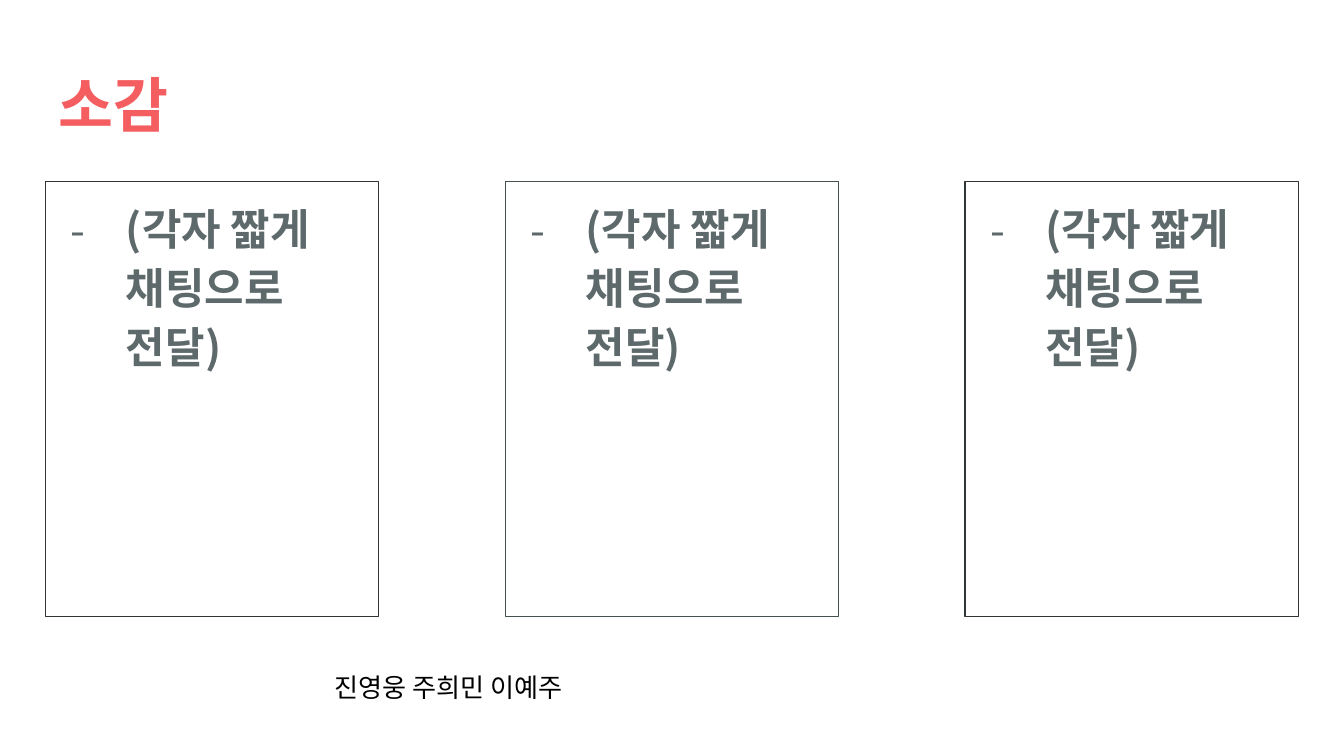
from lxml import etree
from pptx import Presentation
from pptx.dml.color import RGBColor
from pptx.enum.shapes import MSO_SHAPE
from pptx.enum.text import MSO_ANCHOR, PP_ALIGN
from pptx.oxml.ns import qn
from pptx.util import Cm, Pt

RECTANGLE = MSO_SHAPE.RECTANGLE
TOP, MIDDLE = MSO_ANCHOR.TOP, MSO_ANCHOR.MIDDLE
LEFT, CENTER = PP_ALIGN.LEFT, PP_ALIGN.CENTER


def color(value):
    return RGBColor.from_string(value)


class SlideBuilder:
    font_name = "Noto Sans CJK KR"
    accent = "F55E61"
    gray = "5E696C"
    black = "000000"
    inset = Cm(0.25)

    def __init__(self, presentation):
        self.slide = presentation.slides.add_slide(presentation.slide_layouts[5])

    def place(self, shape, left, top, width, height):
        shape.left, shape.top = Cm(left), Cm(top)
        shape.width, shape.height = Cm(width), Cm(height)

    def frame(self, shape, anchor):
        frame = shape.text_frame
        frame.word_wrap = True
        frame.vertical_anchor = anchor
        frame.margin_left = frame.margin_right = self.inset
        frame.margin_top = frame.margin_bottom = self.inset
        return frame

    def set_text(self, paragraph, text, size, text_color, bold=False, align=LEFT):
        paragraph.text = text
        paragraph.alignment = align
        font = paragraph.font
        font.name, font.size, font.bold = self.font_name, Pt(size), bold
        font.color.rgb = color(text_color)
        properties = paragraph._p.get_or_add_pPr().get_or_add_defRPr()
        etree.SubElement(properties, qn("a:ea"), typeface=self.font_name)

    def dash(self, paragraph):
        properties = paragraph._p.get_or_add_pPr()
        properties.set("marL", str(Cm(1.27)))
        properties.set("indent", str(Cm(-1.04)))
        bullet_color = etree.SubElement(properties, qn("a:buClr"))
        etree.SubElement(bullet_color, qn("a:srgbClr"), val=self.gray)
        etree.SubElement(properties, qn("a:buFont"), typeface=self.font_name)
        etree.SubElement(properties, qn("a:buChar"), char="-")

    def title(self, text, left, top, width, height):
        shape = self.slide.shapes.title
        self.place(shape, left, top, width, height)
        frame = self.frame(shape, MIDDLE)
        self.set_text(frame.paragraphs[0], text, 32, self.accent, bold=True)

    def card(self, text, left, top, width, height, line_color):
        shape = self.slide.shapes.add_shape(
            RECTANGLE, Cm(left), Cm(top), Cm(width), Cm(height))
        shape.shadow.inherit = False
        shape.fill.background()
        shape.line.color.rgb = color(line_color)
        shape.line.width = Pt(0.75)
        paragraph = self.frame(shape, TOP).paragraphs[0]
        paragraph.line_spacing = 1.15
        self.dash(paragraph)
        self.set_text(paragraph, text, 23, self.gray, bold=True)

    def names(self, text, left, top, width, height):
        shape = self.slide.shapes.add_textbox(
            Cm(left), Cm(top), Cm(width), Cm(height))
        frame = self.frame(shape, MIDDLE)
        frame.margin_top = frame.margin_bottom = Cm(0.13)
        paragraph = frame.paragraphs[0]
        paragraph.space_after = Pt(16)
        self.set_text(paragraph, text, 14, self.black, align=CENTER)


def main():
    presentation = Presentation()
    presentation.slide_width = Cm(25.4)
    presentation.slide_height = Cm(14.29)
    builder = SlideBuilder(presentation)
    margin, card_pitch = 0.86, 8.69
    builder.title("소감", margin, 1.09, 23.67, 1.73)
    for index, line_color in enumerate(("2F3536", "464F51", "2F3536")):
        builder.card("(각자 짧게 채팅으로 전달)", margin + index * card_pitch,
                     3.43, 6.3, 8.23, line_color)
    builder.names("진영웅 주희민 이예주", 2.13, 12.55, 12.7, 0.86)
    presentation.save("out.pptx")


if __name__ == "__main__":
    main()
